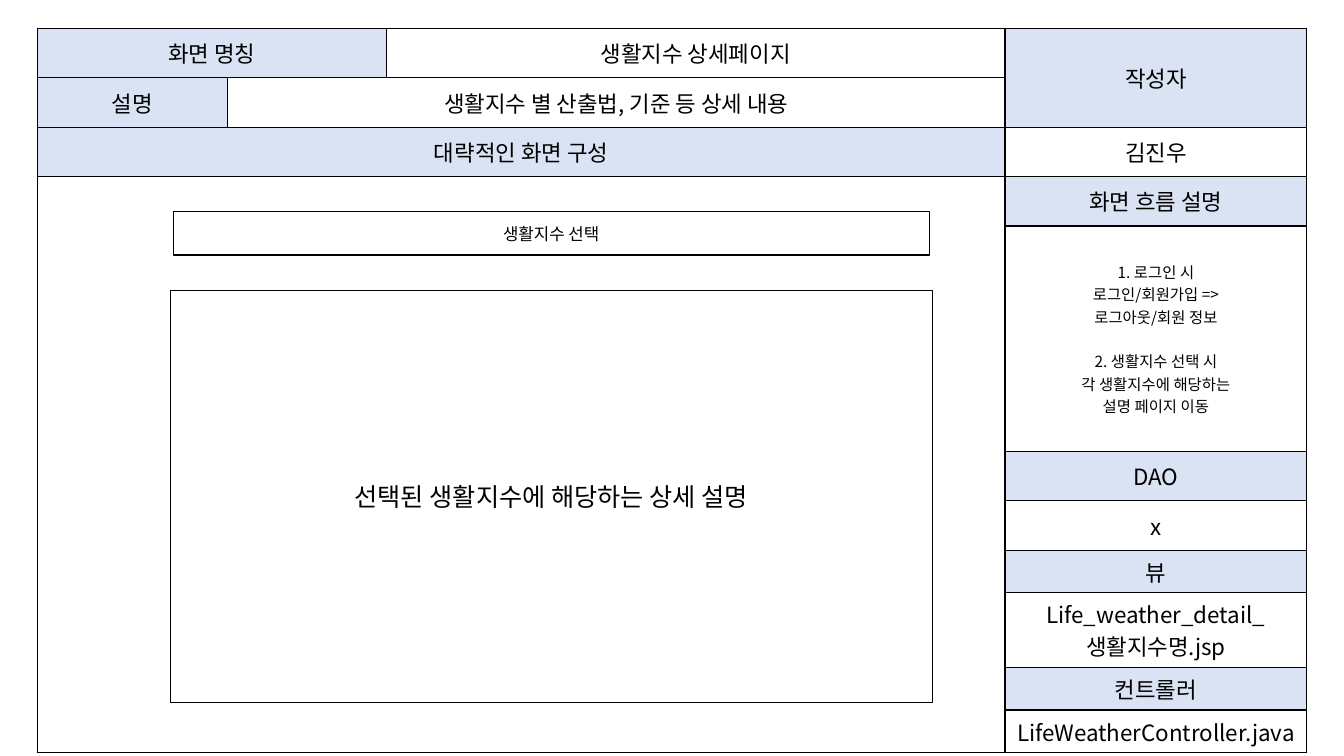
import lxml.etree
import pptx
import pptx.dml.color
import pptx.enum.shapes
import pptx.enum.text
import pptx.oxml.ns
import pptx.util

Pt = pptx.util.Pt
qn = pptx.oxml.ns.qn
COLORS = {"ink": "000000", "header": "DAE3F3"}
FONT = "Noto Sans CJK KR"


def rgb(name):
    return pptx.dml.color.RGBColor.from_string(COLORS[name])


def write(frame, text, size=16, color="ink", gaps=None):
    frame.word_wrap = True
    for index, line in enumerate(text.split("\n")):
        paragraph = frame.paragraphs[0] if index == 0 else frame.add_paragraph()
        paragraph.alignment = pptx.enum.text.PP_ALIGN.CENTER
        if gaps and index in gaps:
            paragraph.space_before = Pt(gaps[index])
        run = paragraph.add_run()
        run.text = line
        run.font.size = Pt(size)
        run.font.name = FONT
        run.font.color.rgb = rgb(color)
        east_asian = lxml.etree.SubElement(run.font._element, qn("a:ea"))
        east_asian.set("typeface", FONT)


class ScreenSpec:
    def __init__(self, slide, border=1, outline=0.75):
        self.slide = slide
        self.border = border
        self.outline = outline

    def box(self, left, top, width, height, text, size):
        box = self.slide.shapes.add_shape(
            pptx.enum.shapes.MSO_SHAPE.RECTANGLE, Pt(left), Pt(top), Pt(width), Pt(height))
        box.shadow.inherit = False
        box.fill.background()
        box.line.color.rgb = rgb("ink")
        box.line.width = Pt(self.outline)
        box.text_frame.vertical_anchor = pptx.enum.text.MSO_ANCHOR.MIDDLE
        write(box.text_frame, text, size=size)

    def grid(self, left, top, widths, heights):
        table = self.slide.shapes.add_table(
            len(heights), len(widths), Pt(left), Pt(top),
            Pt(sum(widths)), Pt(sum(heights))).table
        table.first_row = table.horz_banding = False
        for column, width in zip(table.columns, widths):
            column.width = Pt(width)
        for row, height in zip(table.rows, heights):
            row.height = Pt(height)
        for cell in table.iter_cells():
            self.frame_cell(cell)
        return table

    def frame_cell(self, cell):
        properties = cell._tc.get_or_add_tcPr()
        for side in ("a:lnL", "a:lnR", "a:lnT", "a:lnB"):
            line = lxml.etree.SubElement(properties, qn(side), w=str(Pt(self.border)))
            fill = lxml.etree.SubElement(line, qn("a:solidFill"))
            lxml.etree.SubElement(fill, qn("a:srgbClr"), val=COLORS["ink"])
        cell.fill.background()

    def cell(self, table, row, column, text="", header=False, span=(1, 1), **text_format):
        cell = table.cell(row, column)
        if span != (1, 1):
            cell.merge(table.cell(row + span[0] - 1, column + span[1] - 1))
        cell.vertical_anchor = pptx.enum.text.MSO_ANCHOR.MIDDLE
        if header:
            cell.fill.solid()
            cell.fill.fore_color.rgb = rgb("header")
        if text:
            write(cell.text_frame, text, **text_format)


def main():
    deck = pptx.Presentation()
    deck.slide_width, deck.slide_height = Pt(960), Pt(540)
    spec = ScreenSpec(deck.slides.add_slide(deck.slide_layouts[6]))

    heights = [35.3] * 4 + [161] + [35.3] * 2 + [30.4, 53.5, 30.4, 30.4]
    sheet = spec.grid(26.6, 20.2, [136, 113.4, 442, 215.5], heights)

    spec.cell(sheet, 0, 0, "화면 명칭", header=True, span=(1, 2))
    spec.cell(sheet, 0, 2, "생활지수 상세페이지")
    spec.cell(sheet, 1, 0, "설명", header=True)
    spec.cell(sheet, 1, 1, "생활지수 별 산출법, 기준 등 상세 내용", span=(1, 2))
    spec.cell(sheet, 2, 0, "대략적인 화면 구성", header=True, span=(1, 3))
    spec.cell(sheet, 3, 0, span=(8, 3))

    spec.cell(sheet, 0, 3, "작성자", header=True, span=(2, 1))
    spec.cell(sheet, 2, 3, "김진우")
    spec.cell(sheet, 3, 3, "화면 흐름 설명", header=True)
    flow = ("1. 로그인 시\n로그인/회원가입 =>\n로그아웃/회원 정보\n"
            "2. 생활지수 선택 시\n각 생활지수에 해당하는\n설명 페이지 이동")
    spec.cell(sheet, 4, 3, flow, size=11, gaps={3: 16})

    components = [("DAO", "x"),
                  ("뷰", "Life_weather_detail_생활지수명.jsp"),
                  ("컨트롤러", "LifeWeatherController.java")]
    for index, (label, value) in enumerate(components):
        spec.cell(sheet, 5 + 2 * index, 3, label, header=True)
        spec.cell(sheet, 6 + 2 * index, 3, value)

    spec.box(121.7, 207.4, 544.3, 294.5, "선택된 생활지수에 해당하는 상세 설명", 18)
    spec.box(123.8, 151.2, 540, 31, "생활지수 선택", 12)
    deck.save("out.pptx")


if __name__ == "__main__":
    main()
